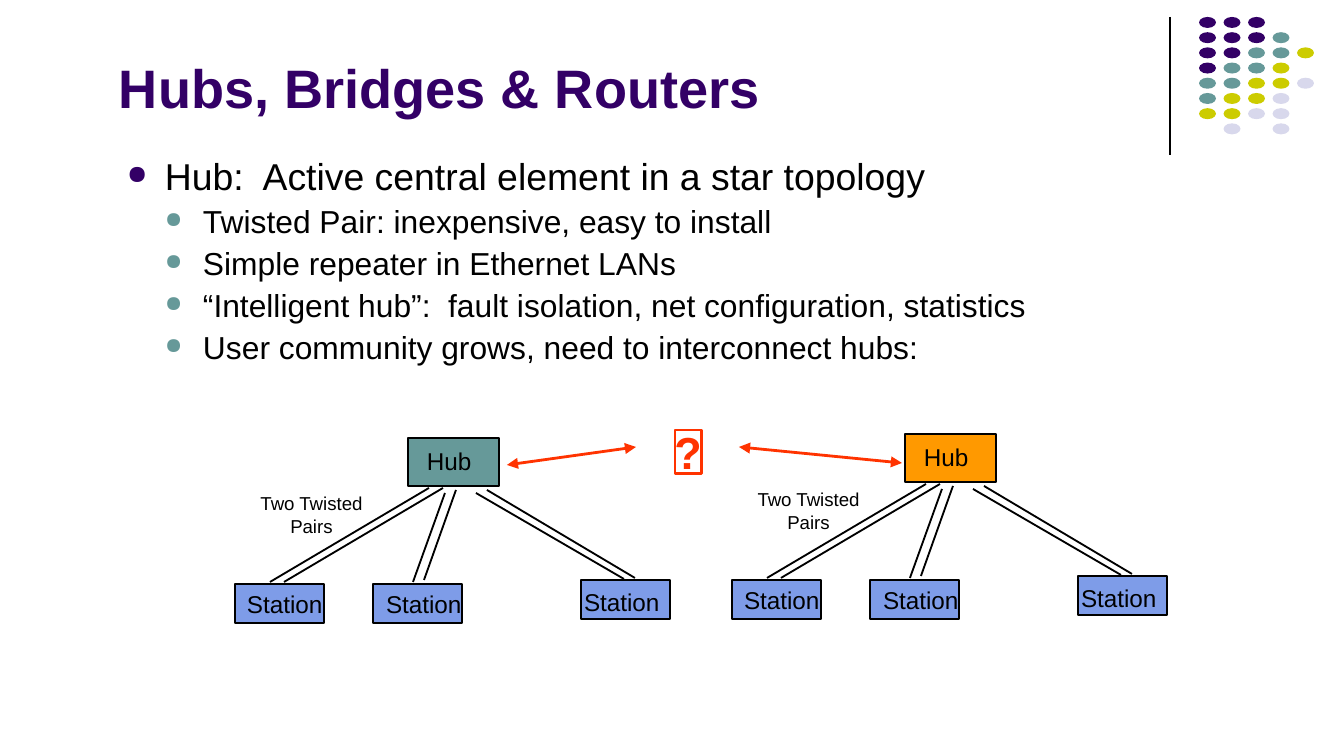
from lxml import etree
from pptx import Presentation
from pptx.dml.color import RGBColor
from pptx.enum.shapes import MSO_CONNECTOR, MSO_SHAPE
from pptx.enum.text import MSO_ANCHOR, PP_ALIGN
from pptx.oxml.ns import qn
from pptx.util import Pt

RECT, OVAL = MSO_SHAPE.RECTANGLE, MSO_SHAPE.OVAL
STRAIGHT = MSO_CONNECTOR.STRAIGHT
TOP, BOTTOM = MSO_ANCHOR.TOP, MSO_ANCHOR.BOTTOM
LEFT, CENTER = PP_ALIGN.LEFT, PP_ALIGN.CENTER

EMU_PER_PX = 914400 / 134.4
BLACK, PURPLE, TEAL, OLIVE, LILAC = "000000", "330066", "669999", "CCCC00", "D8D8EC"
BLUE, ORANGE, RED = "7E9CE8", "FF9900", "FF3300"

DOT_COLORS = {"P": PURPLE, "T": TEAL, "Y": OLIVE, "L": LILAC}
DOT_ROWS = ["PPP", "PPPT", "PPTTY", "PTTY", "TTYYL", "TYYL", "YYLL", " L L"]

BULLETS = [
    (0, "Hub:  Active central element in a star topology"),
    (1, "Twisted Pair: inexpensive, easy to install"),
    (1, "Simple repeater in Ethernet LANs"),
    (1, "“Intelligent hub”:  fault isolation, net configuration, statistics"),
    (1, "User community grows, need to interconnect hubs:"),
]
# size, space before, bullet colour
LEVELS = [(20, 5, PURPLE), (17, 4.2, TEAL)]

# box left, box top, label left, label top
STATIONS = [(235, 584, 238, 584), (373, 584, 377, 584), (581, 580, 575, 582)]
WIRES = [
    (270, 582, 429, 488), (284, 582, 443, 488),
    (445, 493, 413, 582), (456, 490, 424, 580),
    (476, 493, 624, 579), (487, 490, 635, 578),
]


def px(n):
    return round(n * EMU_PER_PX)


def rgb(value):
    return RGBColor.from_string(value)


class Canvas:
    font = "Arial"

    def __init__(self, slide):
        self.slide = slide

    def shape(self, kind, x, y, w, h, fill=None, line=None, weight=1):
        sp = self.slide.shapes.add_shape(kind, px(x), px(y), px(w), px(h))
        sp.shadow.inherit = False
        if fill:
            sp.fill.solid()
            sp.fill.fore_color.rgb = rgb(fill)
        else:
            sp.fill.background()
        if line:
            sp.line.color.rgb = rgb(line)
            sp.line.width = Pt(weight)
        else:
            sp.line.fill.background()

    def line(self, x1, y1, x2, y2, color=BLACK, weight=1, arrows=False):
        cxn = self.slide.shapes.add_connector(STRAIGHT, px(x1), px(y1), px(x2), px(y2))
        cxn.line.color.rgb = rgb(color)
        cxn.line.width = Pt(weight)
        if arrows:
            ln = cxn.line._get_or_add_ln()
            for end in ("a:headEnd", "a:tailEnd"):
                etree.SubElement(ln, qn(end), type="triangle")
        etree.SubElement(cxn._element.spPr, qn("a:effectLst"))

    def text(self, x, y, w, h, lines, size, color=BLACK, bold=False, align=LEFT,
             anchor=TOP, wrap=False, inset=(9, 5)):
        """Add a text box and return its paragraphs."""
        tf = self.slide.shapes.add_textbox(px(x), px(y), px(w), px(h)).text_frame
        tf.word_wrap = wrap
        tf.vertical_anchor = anchor
        tf.margin_left = tf.margin_right = px(inset[0])
        tf.margin_top = tf.margin_bottom = px(inset[1])
        tf.text = "\n".join(lines)
        for p in tf.paragraphs:
            p.alignment = align
            p.font.name = self.font
            p.font.size = Pt(size)
            p.font.bold = bold
            p.font.color.rgb = rgb(color)
        return tf.paragraphs

    def bullets(self, x, y, w, h, items):
        paragraphs = self.text(x, y, w, h, [t for _, t in items], 20,
                               wrap=True, inset=(13, 7))
        for p, (level, _) in zip(paragraphs, items):
            size, before, color = LEVELS[level]
            p.level = level
            p.font.size = Pt(size)
            p.space_before = Pt(before)
            p.line_spacing = 0.9
            pPr = p._p.get_or_add_pPr()
            pPr.set("marL", str(px(38 * (level + 1))))
            pPr.set("indent", str(px(-38)))
            marks = [etree.Element(qn("a:buClr")),
                     etree.Element(qn("a:buSzPct"), val="70000"),
                     etree.Element(qn("a:buChar"), char="●")]
            etree.SubElement(marks[0], qn("a:srgbClr"), val=color)
            position = list(pPr).index(pPr.find(qn("a:defRPr")))
            pPr[position:position] = marks

    def dots(self, x, y):
        for row, codes in enumerate(DOT_ROWS):
            for col, code in enumerate(codes):
                if code in DOT_COLORS:
                    self.shape(OVAL, x + col * 24.5, y + row * 15.2, 17, 11,
                               DOT_COLORS[code])

    def network(self, dx, dy, hub_color):
        """Draw a hub wired to its three stations, shifted by dx, dy."""
        for x, y, label_x, label_y in STATIONS:
            self.shape(RECT, x + dx, y + dy, 89, 39, BLUE, BLACK)
            self.text(label_x + dx, label_y + dy, 95, 39, ["Station"], 13)
        for x1, y1, x2, y2 in WIRES:
            self.line(x1 + dx, y1 + dy, x2 + dx, y2 + dy)
        self.text(249 + dx, 487 + dy, 125, 55, ["Two Twisted", "Pairs"], 10, align=CENTER)
        self.shape(RECT, 408 + dx, 438 + dy, 91, 48, hub_color, BLACK)
        self.text(418 + dx, 441 + dy, 65, 39, ["Hub"], 13)


def main():
    prs = Presentation()
    prs.slide_width, prs.slide_height = px(1344), px(756)
    s = Canvas(prs.slides.add_slide(prs.slide_layouts[6]))

    s.line(1170, 17, 1170, 155, weight=0.75)
    s.dots(1199, 17)
    s.text(106, 13, 1070, 113, ["Hubs, Bridges & Routers"], 29, PURPLE, bold=True,
           anchor=BOTTOM, wrap=True, inset=(13, 7))
    s.bullets(114, 151, 1000, 228, BULLETS)

    s.network(0, 0, TEAL)
    s.network(497, -4, ORANGE)

    s.shape(RECT, 675, 430, 27, 44, line=RED, weight=1.5)
    s.text(661, 418, 54, 67, ["?"], 24, RED, bold=True, align=CENTER, inset=(13, 7))
    s.line(507, 465, 636, 447, RED, 1.5, arrows=True)
    s.line(902, 463, 739, 447, RED, 1.5, arrows=True)

    prs.save("out.pptx")


if __name__ == "__main__":
    main()
